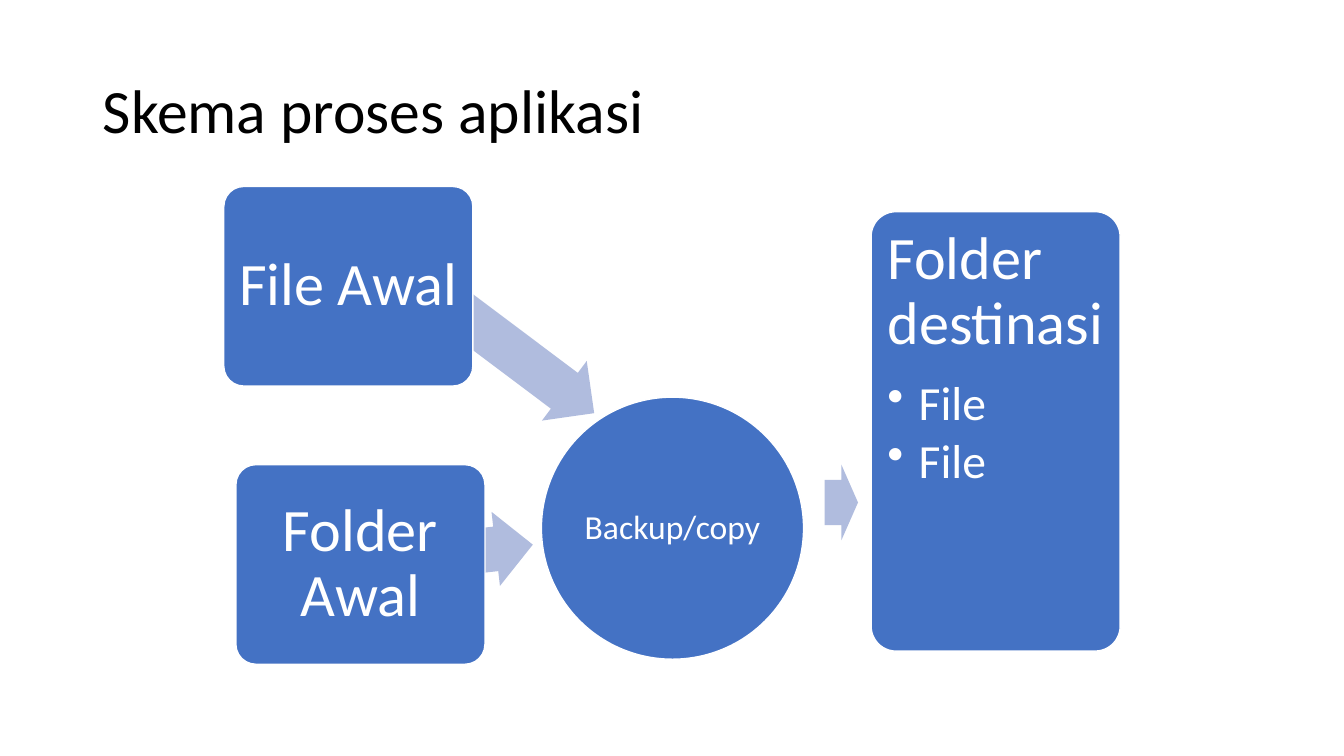
"""Build the slide that shows the backup flow of the application."""
from lxml.etree import SubElement
from pptx import Presentation
from pptx.dml.color import RGBColor
from pptx.enum.shapes import MSO_SHAPE as Shape
from pptx.enum.text import MSO_ANCHOR as Anchor, MSO_AUTO_SIZE as Auto, PP_ALIGN as Align
from pptx.oxml.ns import qn
from pptx.util import Inches, Pt

BLUE = RGBColor(0x44, 0x72, 0xC4)
PALE = RGBColor(0xB0, 0xBC, 0xDE)
WHITE = RGBColor(255, 255, 255)
BLACK = RGBColor(0, 0, 0)


def draw(kind, at, fill):
    item = slide.shapes.add_shape(kind, *map(Inches, at))
    item.shadow.inherit = False
    item.fill.solid()
    item.fill.fore_color.rgb = fill
    return item


def style(para, text, size, color, align, after=0):
    para.text = text
    for name, value in {"alignment": align, "line_spacing": 0.9,
                        "space_before": Pt(0), "space_after": Pt(after)}.items():
        setattr(para, name, value)
    font = para.runs[0].font
    for name, value in {"name": "Calibri", "size": Pt(size)}.items():
        setattr(font, name, value)
    font.color.rgb = color


deck = Presentation()
deck.slide_width, deck.slide_height = Inches(13.33), Inches(7.5)
slide = deck.slides.add_slide(deck.slide_layouts[5])

title = slide.shapes.title
for name, value in {"left": 0.92, "top": 0.4, "width": 11.5, "height": 1.45}.items():
    setattr(title, name, Inches(value))
title.text_frame.auto_size = Auto.NONE
title.text_frame.vertical_anchor = Anchor.MIDDLE
style(title.text_frame.paragraphs[0], "Skema proses aplikasi", 44, BLACK, Align.LEFT)

arrows = [
    ((3.59, 2.96, 2.56, 0.74), 216.9),
    ((3.58, 5.13, 1.71, 0.74), 173.5),
    ((8.18, 4.61, 0.33, 0.75), 180),
]
for at, turn in arrows:
    arrow = draw(Shape.LEFT_ARROW, at, PALE)
    arrow.rotation = turn
    arrow.adjustments[0], arrow.adjustments[1] = 0.6, 0.5
    arrow.line.fill.background()

BOX, MID, LEFT = Shape.ROUNDED_RECTANGLE, Anchor.MIDDLE, Align.LEFT
nodes = [
    (Shape.OVAL, (5.37, 3.94, 2.6, 2.6), 0.02, MID,
     [("Backup/copy", 24, Align.CENTER, 0)]),
    (BOX, (2.22, 1.85, 2.47, 1.98), 0.09, MID,
     [("File Awal", 43, Align.CENTER, 0)]),
    (BOX, (2.34, 4.61, 2.47, 1.98), 0.09, MID,
     [("Folder Awal", 43, Align.CENTER, 0)]),
    (BOX, (8.64, 2.1, 2.47, 4.36), 0.09, Anchor.TOP,
     [("Folder destinasi", 43, LEFT, 15), ("File", 34, LEFT, 5), ("File", 34, LEFT, 5)]),
]
for kind, at, inset, anchor, lines in nodes:
    node = draw(kind, at, BLUE)
    node.line.color.rgb = WHITE
    node.line.width = Pt(1)
    if kind == BOX:
        node.adjustments[0] = 0.1
    frame = node.text_frame
    for name, value in {"word_wrap": True, "vertical_anchor": anchor}.items():
        setattr(frame, name, value)
    for side in ("left", "top", "right", "bottom"):
        setattr(frame, f"margin_{side}", Inches(inset))
    for rank, (text, size, align, after) in enumerate(lines):
        para = frame.add_paragraph() if rank else frame.paragraphs[0]
        style(para, text, size, WHITE, align, after)
        if rank:
            para.level = 1
            props = para._p.get_or_add_pPr()
            props.set("marL", str(Inches(0.31)))
            props.set("indent", str(-Inches(0.31)))
            SubElement(props, qn("a:buChar"), char="•")

deck.save("out.pptx")
